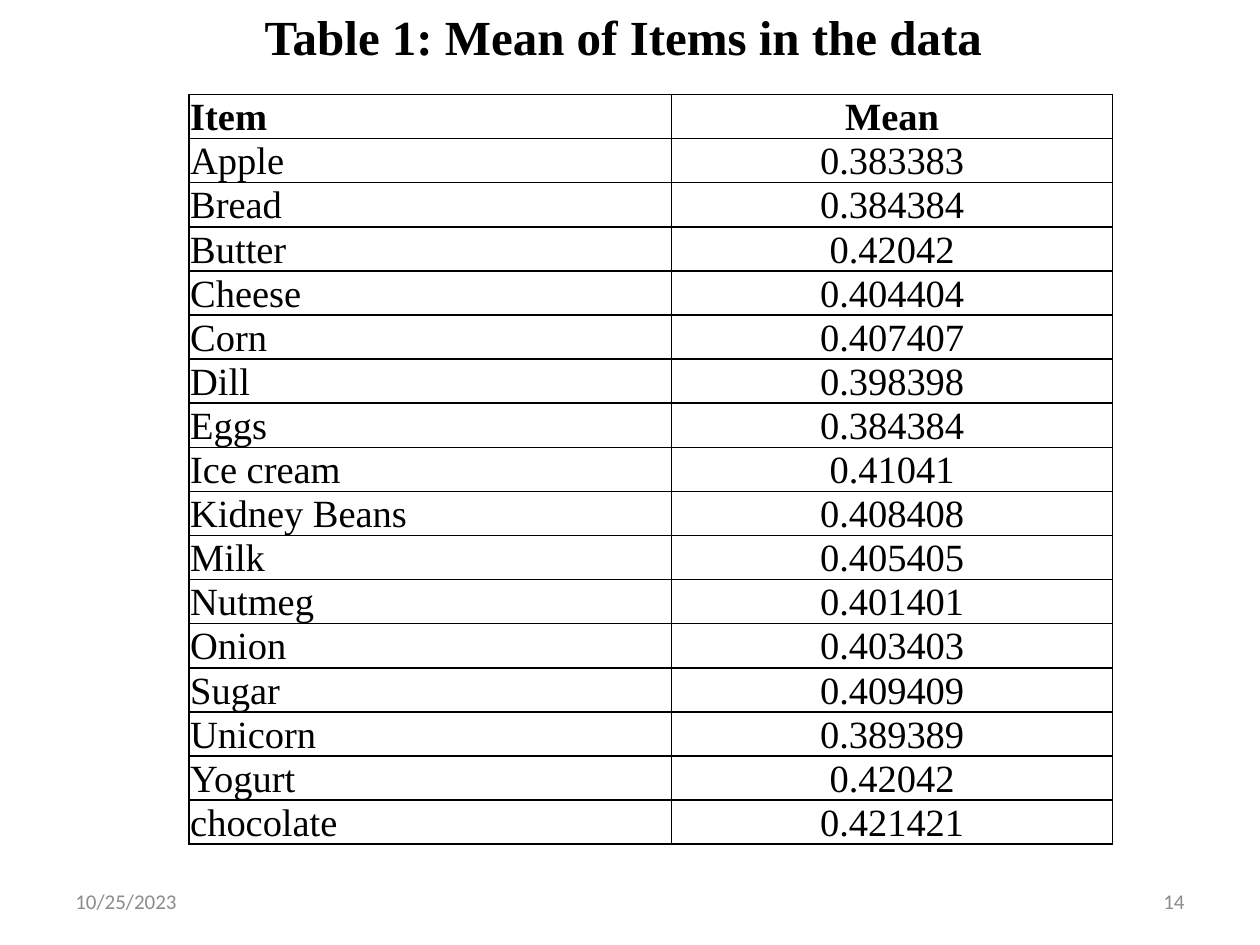
from lxml import etree
from pptx import Presentation
from pptx.dml.color import RGBColor
from pptx.enum import text
from pptx.oxml import ns
from pptx.util import Inches, Pt

COLORS = {"ink": "000000", "paper": "FFFFFF", "footer": "8C8C8C"}
SERIF = "Times New Roman"
ROW_HEIGHT = 0.35
COLUMN_WIDTHS = (3.83, 3.5)
ROWS = [
    ("Item", "Mean"),
    ("Apple", "0.383383"),
    ("Bread", "0.384384"),
    ("Butter", "0.42042"),
    ("Cheese", "0.404404"),
    ("Corn", "0.407407"),
    ("Dill", "0.398398"),
    ("Eggs", "0.384384"),
    ("Ice cream", "0.41041"),
    ("Kidney Beans", "0.408408"),
    ("Milk", "0.405405"),
    ("Nutmeg", "0.401401"),
    ("Onion", "0.403403"),
    ("Sugar", "0.409409"),
    ("Unicorn", "0.389389"),
    ("Yogurt", "0.42042"),
    ("chocolate", "0.421421"),
]


def write(text_frame, content, size, font, color, align, bold=False):
    text_frame.text = content
    paragraph = text_frame.paragraphs[0]
    paragraph.alignment = align
    for run in paragraph.runs:
        run.font.size = Pt(size)
        run.font.name = font
        run.font.bold = bold
        run.font.color.rgb = RGBColor.from_string(COLORS[color])


def place(shape, left, top, width, height):
    shape.left, shape.top = Inches(left), Inches(top)
    shape.width, shape.height = Inches(width), Inches(height)


def add_title(slide, content):
    title = slide.shapes.title
    place(title, 2, 0, 6.17, 0.58)
    title.text_frame.vertical_anchor = text.MSO_ANCHOR.TOP
    title.text_frame.auto_size = text.MSO_AUTO_SIZE.SHAPE_TO_FIT_TEXT
    write(title.text_frame, content, 28, SERIF, "ink", text.PP_ALIGN.JUSTIFY, True)


def set_borders(cell):
    properties = cell._tc.get_or_add_tcPr()
    # Borders come before the fill in the cell properties
    for index, side in enumerate(("lnL", "lnR", "lnT", "lnB")):
        line = etree.Element(ns.qn(f"a:{side}"), w=str(Pt(1)))
        fill = etree.SubElement(line, ns.qn("a:solidFill"))
        etree.SubElement(fill, ns.qn("a:srgbClr"), val=COLORS["ink"])
        properties.insert(index, line)


def format_cell(cell, content, align, bold):
    cell.margin_left = cell.margin_right = cell.margin_top = Inches(0.01)
    cell.margin_bottom = 0
    cell.vertical_anchor = text.MSO_ANCHOR.BOTTOM
    cell.fill.solid()
    cell.fill.fore_color.rgb = RGBColor.from_string(COLORS["paper"])
    write(cell.text_frame, content, 22, SERIF, "ink", align, bold)
    # Tight lines keep the text within the row height
    cell.text_frame.paragraphs[0].line_spacing = 0.92
    set_borders(cell)


def add_mean_table(slide):
    frame = slide.shapes.add_table(
        len(ROWS), len(COLUMN_WIDTHS), Inches(1.5), Inches(0.75),
        Inches(sum(COLUMN_WIDTHS)), Inches(ROW_HEIGHT * len(ROWS)))
    table = frame.table
    for column, width in zip(table.columns, COLUMN_WIDTHS):
        column.width = Inches(width)
    alignments = (text.PP_ALIGN.JUSTIFY, text.PP_ALIGN.CENTER)
    for row_index, values in enumerate(ROWS):
        table.rows[row_index].height = Inches(ROW_HEIGHT)
        for column_index, value in enumerate(values):
            format_cell(table.cell(row_index, column_index), value,
                        alignments[column_index], row_index == 0)


def add_footer(slide, content, left, align):
    box = slide.shapes.add_textbox(Inches(left), Inches(6.95), Inches(2.33), Inches(0.4))
    box.text_frame.word_wrap = True
    box.text_frame.vertical_anchor = text.MSO_ANCHOR.MIDDLE
    write(box.text_frame, content, 12, "Calibri", "footer", align)


def main():
    presentation = Presentation()
    presentation.slide_width, presentation.slide_height = Inches(10), Inches(7.5)
    slide = presentation.slides.add_slide(presentation.slide_layouts[5])

    # Title and table
    add_title(slide, "Table 1: Mean of Items in the data")
    add_mean_table(slide)

    # Date and slide number
    add_footer(slide, "10/25/2023", 0.5, text.PP_ALIGN.LEFT)
    add_footer(slide, "14", 7.17, text.PP_ALIGN.RIGHT)

    presentation.save("out.pptx")


if __name__ == "__main__":
    main()
